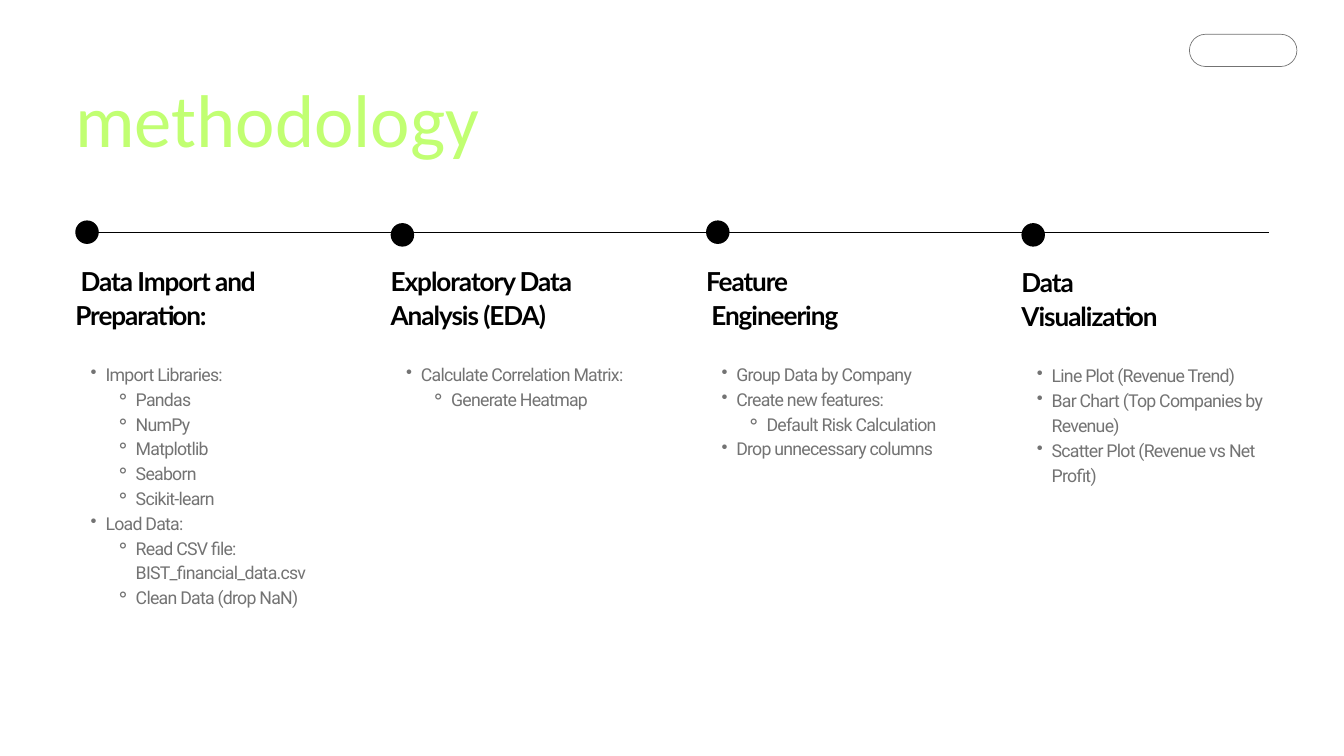
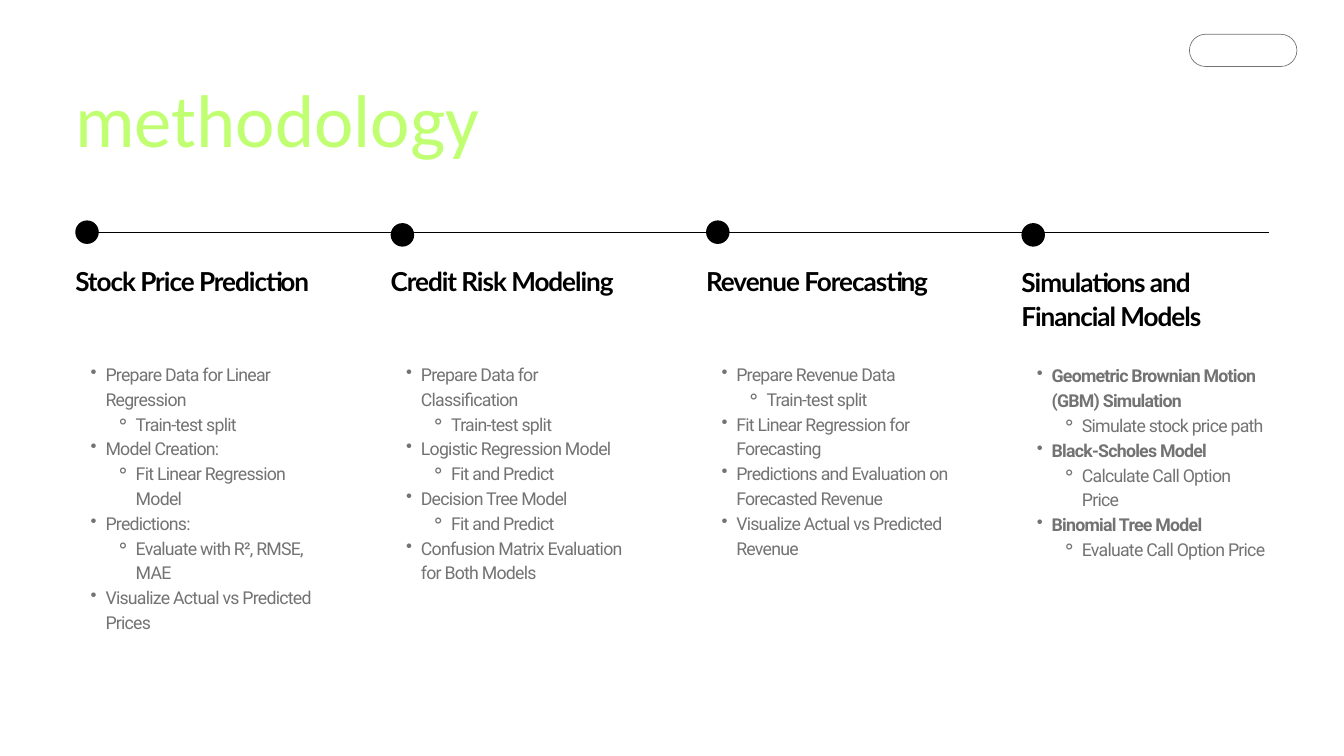
from dataclasses import dataclass

import lxml.etree
import pptx
import pptx.dml.color
import pptx.enum.shapes
import pptx.enum.text
import pptx.oxml.ns
import pptx.util
from pptx.util import Inches

BLACK = "000000"
GRAY = "737373"
LIME = "C1FF72"

LEFT = 1.12
COLUMN_PITCH = (15.2 - LEFT) / 3
COLUMN_WIDTH = 3.68
DOT_SIZE = 0.35
LINE_Y = 3.46


@dataclass(frozen=True)
class TextStyle:
    font: str
    size: float
    color: str
    line_spacing: float
    bold: bool = False
    tracking: float = 0


@dataclass(frozen=True)
class BulletStyle:
    character: str
    margin: float
    indent: float


@dataclass(frozen=True)
class Topic:
    text: str
    details: tuple[str, ...] = ()
    bold: bool = False


@dataclass(frozen=True)
class Step:
    heading: tuple[str, ...]
    topics: tuple[Topic, ...]
    body_height: float


@dataclass(frozen=True)
class Line:
    text: str
    level: int = 0
    bold: bool = False


TITLE = TextStyle("Calibri", 80, LIME, 96)
HEADING = TextStyle("Lato", 28, BLACK, 36.4, bold=True, tracking=-1.1)
BODY = TextStyle("Roboto", 19, GRAY, 26.6, tracking=-0.8)
BULLETS = {1: BulletStyle("•", 0.45, -0.22), 2: BulletStyle("⚬", 0.9, -0.3)}

DATA_STEPS = (
    Step(
        (" Data Import and Preparation:",),
        (
            Topic("Import Libraries:", ("Pandas", "NumPy", "Matplotlib", "Seaborn", "Scikit-learn")),
            Topic("Load Data:", ("Read CSV file: BIST_financial_data.csv", "Clean Data (drop NaN)")),
        ),
        4,
    ),
    Step(
        ("Exploratory Data Analysis (EDA)",),
        (Topic("Calculate Correlation Matrix:", ("Generate Heatmap",)),),
        1.45,
    ),
    Step(
        ("Feature", " Engineering"),
        (
            Topic("Group Data by Company"),
            Topic("Create new features:", ("Default Risk Calculation",)),
            Topic("Drop unnecessary columns"),
        ),
        1.81,
    ),
    Step(
        ("Data", "Visualization"),
        (
            Topic("Line Plot (Revenue Trend)"),
            Topic("Bar Chart (Top Companies by Revenue)"),
            Topic("Scatter Plot (Revenue vs Net Profit)"),
        ),
        2.54,
    ),
)

MODEL_STEPS = (
    Step(
        ("Stock Price Prediction",),
        (
            Topic("Prepare Data for Linear Regression", ("Train-test split",)),
            Topic("Model Creation:", ("Fit Linear Regression Model",)),
            Topic("Predictions:", ("Evaluate with R², RMSE, MAE",)),
            Topic("Visualize Actual vs Predicted Prices"),
        ),
        4,
    ),
    Step(
        ("Credit Risk Modeling",),
        (
            Topic("Prepare Data for Classification", ("Train-test split",)),
            Topic("Logistic Regression Model", ("Fit and Predict",)),
            Topic("Decision Tree Model", ("Fit and Predict",)),
            Topic("Confusion Matrix Evaluation for Both Models"),
        ),
        3.27,
    ),
    Step(
        ("Revenue Forecasting",),
        (
            Topic("Prepare Revenue Data", ("Train-test split",)),
            Topic("Fit Linear Regression for Forecasting"),
            Topic("Predictions and Evaluation on Forecasted Revenue"),
            Topic("Visualize Actual vs Predicted Revenue"),
        ),
        3.27,
    ),
    Step(
        ("Simulations and Financial Models",),
        (
            Topic("Geometric Brownian Motion (GBM) Simulation", ("Simulate stock price path",), bold=True),
            Topic("Black-Scholes Model", ("Calculate Call Option Price",), bold=True),
            Topic("Binomial Tree Model", ("Evaluate Call Option Price",), bold=True),
        ),
        4,
    ),
)


def rgb(color: str) -> pptx.dml.color.RGBColor:
    return pptx.dml.color.RGBColor.from_string(color)


def add_bullet(paragraph, bullet: BulletStyle) -> None:
    properties = paragraph._p.get_or_add_pPr()
    properties.set("marL", str(Inches(bullet.margin)))
    properties.set("indent", str(Inches(bullet.indent)))
    character = lxml.etree.SubElement(properties, pptx.oxml.ns.qn("a:buChar"))
    character.set("char", bullet.character)


def add_text(slide, lines: list[Line], style: TextStyle,
             left: float, top: float, width: float, height: float) -> None:
    box = slide.shapes.add_textbox(Inches(left), Inches(top), Inches(width), Inches(height))
    frame = box.text_frame
    frame.margin_left = frame.margin_top = frame.margin_right = frame.margin_bottom = 0
    frame.word_wrap = True
    frame.auto_size = pptx.enum.text.MSO_AUTO_SIZE.SHAPE_TO_FIT_TEXT
    frame.text = "\n".join(line.text for line in lines)
    for paragraph, line in zip(frame.paragraphs, lines):
        paragraph.level = line.level
        paragraph.line_spacing = pptx.util.Pt(style.line_spacing)
        if line.level:
            add_bullet(paragraph, BULLETS[line.level])
        for run in paragraph.runs:
            run.font.name = style.font
            run.font.size = pptx.util.Pt(style.size)
            run.font.bold = style.bold or line.bold
            run.font.color.rgb = rgb(style.color)
            if style.tracking:
                run._r.get_or_add_rPr().set("spc", str(round(style.tracking * 100)))


def add_pill(slide) -> None:
    pill = slide.shapes.add_shape(
        pptx.enum.shapes.MSO_SHAPE.ROUNDED_RECTANGLE,
        Inches(17.7), Inches(0.51), Inches(1.6), Inches(0.48))
    pill.adjustments[0] = 0.5
    pill.shadow.inherit = False
    pill.fill.background()
    pill.line.color.rgb = rgb(GRAY)
    pill.line.width = pptx.util.Pt(0.75)


def add_timeline(slide) -> None:
    timeline = slide.shapes.add_connector(
        pptx.enum.shapes.MSO_CONNECTOR.STRAIGHT,
        Inches(1.3), Inches(LINE_Y), Inches(18.88), Inches(LINE_Y))
    timeline.line.color.rgb = rgb(BLACK)
    timeline.line.width = pptx.util.Pt(1.5)
    lxml.etree.SubElement(timeline._element.spPr, pptx.oxml.ns.qn("a:effectLst"))


def add_dot(slide, left: float, top: float) -> None:
    dot = slide.shapes.add_shape(
        pptx.enum.shapes.MSO_SHAPE.OVAL,
        Inches(left), Inches(top), Inches(DOT_SIZE), Inches(DOT_SIZE))
    dot.shadow.inherit = False
    dot.fill.solid()
    dot.fill.fore_color.rgb = rgb(BLACK)
    dot.line.fill.background()


def topic_lines(topics: tuple[Topic, ...]) -> list[Line]:
    """Flatten topics and their details into bulleted lines."""
    lines = []
    for topic in topics:
        lines.append(Line(topic.text, 1, topic.bold))
        lines.extend(Line(detail, 2) for detail in topic.details)
    return lines


def add_methodology_slide(presentation, steps: tuple[Step, ...]) -> None:
    slide = presentation.slides.add_slide(presentation.slide_layouts[6])
    add_pill(slide)
    add_timeline(slide)
    for index in range(len(steps)):
        dot_top = 3.32 if index % 2 else 3.28
        add_dot(slide, LEFT + index * COLUMN_PITCH, dot_top)
    add_text(slide, [Line("methodology")], TITLE, LEFT, 1.09, 17.75, 1.36)
    for index, step in enumerate(steps):
        left = LEFT + index * COLUMN_PITCH
        drop = 0.02 if index == len(steps) - 1 else 0
        heading = [Line(text) for text in step.heading]
        add_text(slide, heading, HEADING, left, 3.91 + drop, COLUMN_WIDTH, 1)
        add_text(slide, topic_lines(step.topics), BODY,
                 left, 5.36 + drop, COLUMN_WIDTH, step.body_height)


def main() -> None:
    presentation = pptx.Presentation()
    presentation.slide_width = Inches(20)
    presentation.slide_height = Inches(11.25)
    for steps in (DATA_STEPS, MODEL_STEPS):
        add_methodology_slide(presentation, steps)
    presentation.save("out.pptx")


if __name__ == "__main__":
    main()
